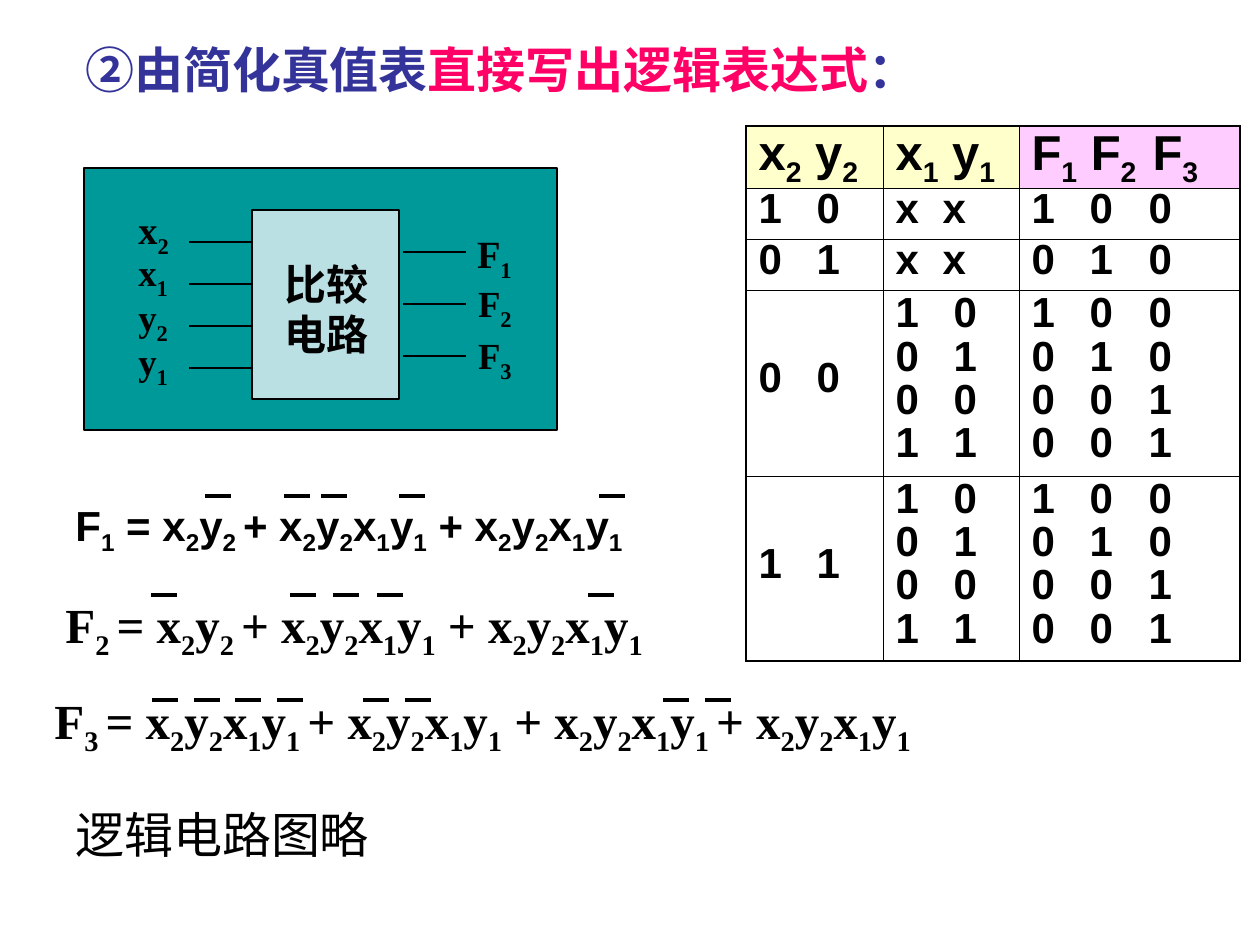
from lxml import etree
from pptx import Presentation
from pptx.dml.color import RGBColor
from pptx.enum.lang import MSO_LANGUAGE_ID
from pptx.enum.shapes import MSO_CONNECTOR, MSO_SHAPE
from pptx.enum.text import MSO_ANCHOR, MSO_AUTO_SIZE, PP_ALIGN
from pptx.oxml import parse_xml
from pptx.oxml.ns import nsdecls, qn
from pptx.util import Pt

BLACK = RGBColor(0x00, 0x00, 0x00)
WHITE = RGBColor(0xFF, 0xFF, 0xFF)
NAVY = RGBColor(0x33, 0x33, 0x99)
PINK = RGBColor(0xFF, 0x00, 0x66)
TEAL = RGBColor(0x00, 0x99, 0x99)
PALE_BLUE = RGBColor(0xBB, 0xE0, 0xE3)
CREAM = RGBColor(0xFF, 0xFF, 0xCC)
LILAC = RGBColor(0xFF, 0xCC, 0xFF)
SANS, SERIF = "Arial", "Times New Roman"

# Text in braces is subscript
TITLE = [("②由简化真值表", NAVY), ("直接写出逻辑表达式", PINK), ("：", NAVY)]
FORMULAS = [  # text, box, size, font, line spacing
    ("F{1} = x{2}y{2 }+ x{2}y{2}x{1}y{1} + x{2}y{2}x{1}y{1}",
     (63, 494, 672, 73), 24, SANS, 0.9),
    ("F{2 }= x{2}y{2 }+ x{2}y{2}x{1}y{1} + x{2}y{2}x{1}y{1}",
     (53, 588, 661, 79), 28, SERIF, 1.0),
    ("F{3 }= x{2}y{2}x{1}y{1 }+ x{2}y{2}x{1}y{1} + x{2}y{2}x{1}y{1 }+ x{2}y{2}x{1}y{1}",
     (42, 684, 976, 79), 28, SERIF, 1.0),
]
OVERLINES = {  # y: left ends
    496: (205, 284, 321, 399, 599),
    595: (151, 290, 333, 377, 588),
    700: (152, 194, 235, 277, 363, 405, 663, 705),
}
INPUTS = [("x{2}", 200, 22), ("x{1}", 242, 21), ("y{2}", 287, 21), ("y{1}", 331, 21)]
OUTPUTS = [("F{1}", 224, 22), ("F{2}", 273, 21), ("F{3}", 325, 21)]

COMPARED = ["1\t0", "0\t1", "0\t0", "1\t1"]
RESULTS = ["1\t0\t0", "0\t1\t0", "0\t0\t1", "0\t0\t1"]
TRUTH_TABLE = [
    [["x{2} }y{2}".replace("} }", "} ")], ["x{1} y{1}"], ["F{1} F{2}\tF{3}"]],
    [["1\t0"], ["x\tx"], ["1\t0\t0"]],
    [["0\t1"], ["x\tx"], ["0\t1\t0"]],
    [["0\t0"], COMPARED, RESULTS],
    [["1\t1"], COMPARED, RESULTS],
]
TRUTH_TABLE[0][0] = ["x{2} y{2}"]
HEAD_FILLS = [CREAM, CREAM, LILAC]
COL_WIDTHS = [137, 136, 221]
ROW_HEIGHTS = [62, 51, 51, 186, 185]


def px(n):
    return round(n * 914400 / 126)


def add_run(p, text, size, font, color=BLACK, bold=True, sub=False):
    r = p.add_run()
    r.text = text
    r.font.size, r.font.name, r.font.bold = Pt(size), font, bold
    r.font.color.rgb = color
    if not text.isascii():
        r.font.language_id = MSO_LANGUAGE_ID.SIMPLIFIED_CHINESE
    if sub:
        r.font._rPr.set("baseline", "-25000")


def add_math(p, text, size, font, sub_size=None):
    for i, part in enumerate(text.replace("}", "{").split("{")):
        if part:
            sub = i % 2 == 1
            add_run(p, part, sub_size if sub and sub_size else size, font, sub=sub)


def add_text(s, box, anchor=MSO_ANCHOR.TOP, align=PP_ALIGN.LEFT):
    tf = s.shapes.add_textbox(*map(px, box)).text_frame
    tf.word_wrap = True
    tf.auto_size = MSO_AUTO_SIZE.NONE
    tf.vertical_anchor = anchor
    p = tf.paragraphs[0]
    p.alignment = align
    return p


def add_rule(s, x, y, length, width):
    line = s.shapes.add_connector(MSO_CONNECTOR.STRAIGHT, px(x), px(y), px(x + length), px(y))
    line.line.color.rgb = BLACK
    line.line.width = Pt(width)
    etree.SubElement(line._element.spPr, qn("a:effectLst"))


def add_box(s, box, fill):
    sp = s.shapes.add_shape(MSO_SHAPE.RECTANGLE, *map(px, box))
    sp.shadow.inherit = False
    sp.fill.solid()
    sp.fill.fore_color.rgb = fill
    sp.line.color.rgb = BLACK
    sp.line.width = Pt(0.75)


def set_borders(cell, outer):
    tcPr = cell._tc.get_or_add_tcPr()
    for i, side in enumerate("LRTB"):
        width = Pt(1.08 if side in outer else 0.45)
        tcPr.insert(i, parse_xml(
            f'<a:ln{side} {nsdecls("a")} w="{width}"><a:solidFill>'
            f'<a:srgbClr val="{BLACK}"/></a:solidFill></a:ln{side}>'))


def set_tabs(p, stops):
    tabs = etree.SubElement(p._p.get_or_add_pPr(), qn("a:tabLst"))
    for stop in stops:
        etree.SubElement(tabs, qn("a:tab"), pos=str(px(stop)), algn="l")


def add_truth_table(s):
    rows, cols = len(ROW_HEIGHTS), len(COL_WIDTHS)
    table = s.shapes.add_table(rows, cols, px(746), px(126), px(sum(COL_WIDTHS)),
                               px(sum(ROW_HEIGHTS))).table
    table.first_row = table.horz_banding = False
    for col, width in zip(table.columns, COL_WIDTHS):
        col.width = px(width)
    for i, (row, height) in enumerate(zip(table.rows, ROW_HEIGHTS)):
        row.height = px(height)
        for j, cell in enumerate(row.cells):
            cell.fill.solid()
            cell.fill.fore_color.rgb = WHITE if i else HEAD_FILLS[j]
            cell.vertical_anchor = MSO_ANCHOR.MIDDLE
            outer = (("L" if j == 0 else "") + ("R" if j == cols - 1 else "")
                     + ("T" if i == 0 else "") + ("B" if i == rows - 1 else ""))
            set_borders(cell, outer)
            for n, text in enumerate(TRUTH_TABLE[i][j]):
                p = cell.text_frame.paragraphs[0] if n == 0 else cell.text_frame.add_paragraph()
                if "\t" in text:
                    set_tabs(p, [121] if i == 0 else [47] if "x" in text else [58, 117])
                p.line_spacing = 0.7
                if n:
                    p.space_before = Pt(6)
                add_math(p, text, 24 if i else 28, SANS)


def add_circuit(s):
    add_box(s, (84, 168, 473, 262), TEAL)
    add_box(s, (252, 210, 147, 189), PALE_BLUE)
    p = add_text(s, (262, 252, 129, 113), align=PP_ALIGN.CENTER)
    add_run(p, "比较电路", 24, SERIF)
    sides = [  # pins, label left, alignment, wire left, first wire, wire gap
        (INPUTS, 126, PP_ALIGN.LEFT, 189, 242, 42),
        (OUTPUTS, 451, PP_ALIGN.RIGHT, 403, 252, 52),
    ]
    for pins, left, align, wire_left, first, gap in sides:
        for i, (name, top, size) in enumerate(pins):
            add_rule(s, wire_left, first + i * gap, 63, 0.75)
            p = add_text(s, (left, top, 73, 66), align=align)
            add_math(p, name, size, SERIF, sub_size=22)


def main():
    prs = Presentation()
    prs.slide_width, prs.slide_height = px(1260), px(945)
    s = prs.slides.add_slide(prs.slide_layouts[6])

    # Title
    p = add_text(s, (73, 21, 892, 95), MSO_ANCHOR.MIDDLE)
    for text, color in TITLE:
        add_run(p, text, 28, SANS, color)

    add_truth_table(s)

    # Formulas with their negation bars
    for text, box, size, font, spacing in FORMULAS:
        p = add_text(s, box)
        p.line_spacing = spacing
        add_math(p, text, size, font)
    for y, lefts in OVERLINES.items():
        for x in lefts:
            add_rule(s, x, y, 26, 2.25)

    # Closing remark
    p = add_text(s, (63, 798, 819, 72))
    add_run(p, "逻辑电路图略", 28, SERIF, bold=False)

    add_circuit(s)
    prs.save("out.pptx")


if __name__ == "__main__":
    main()
